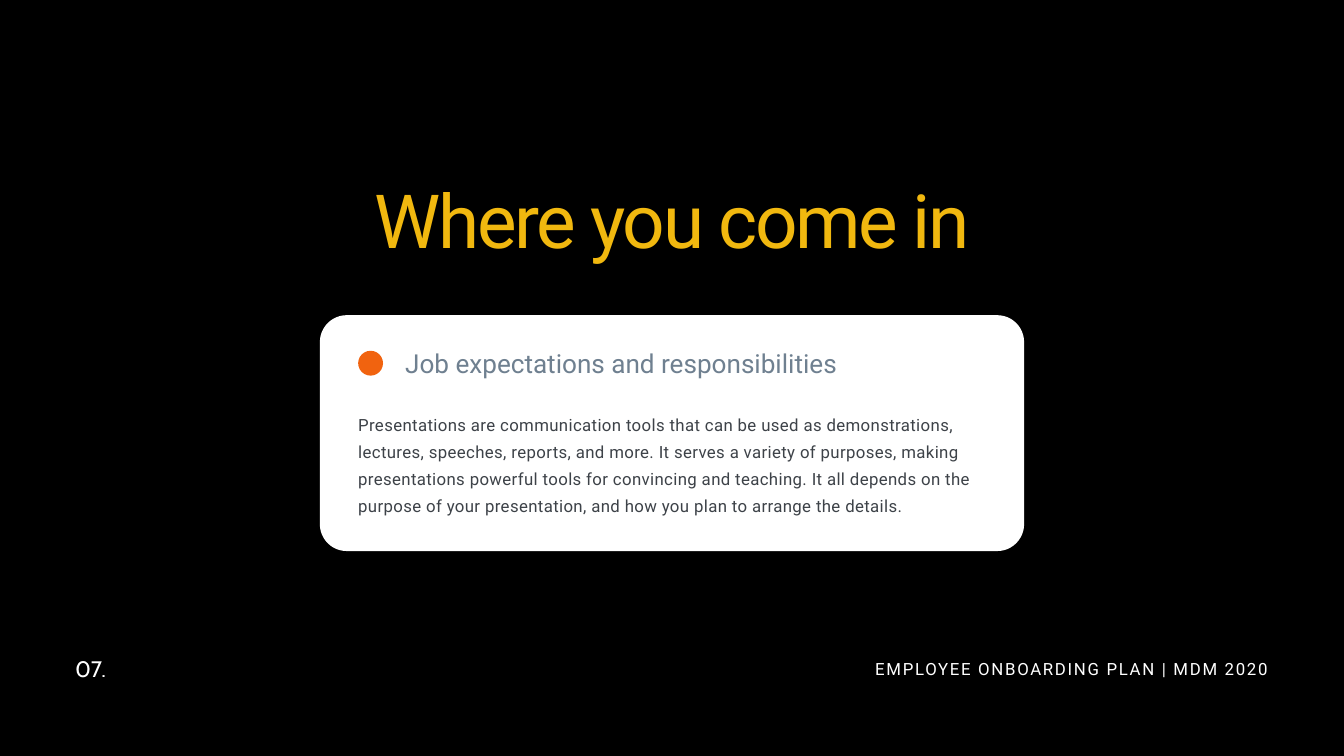
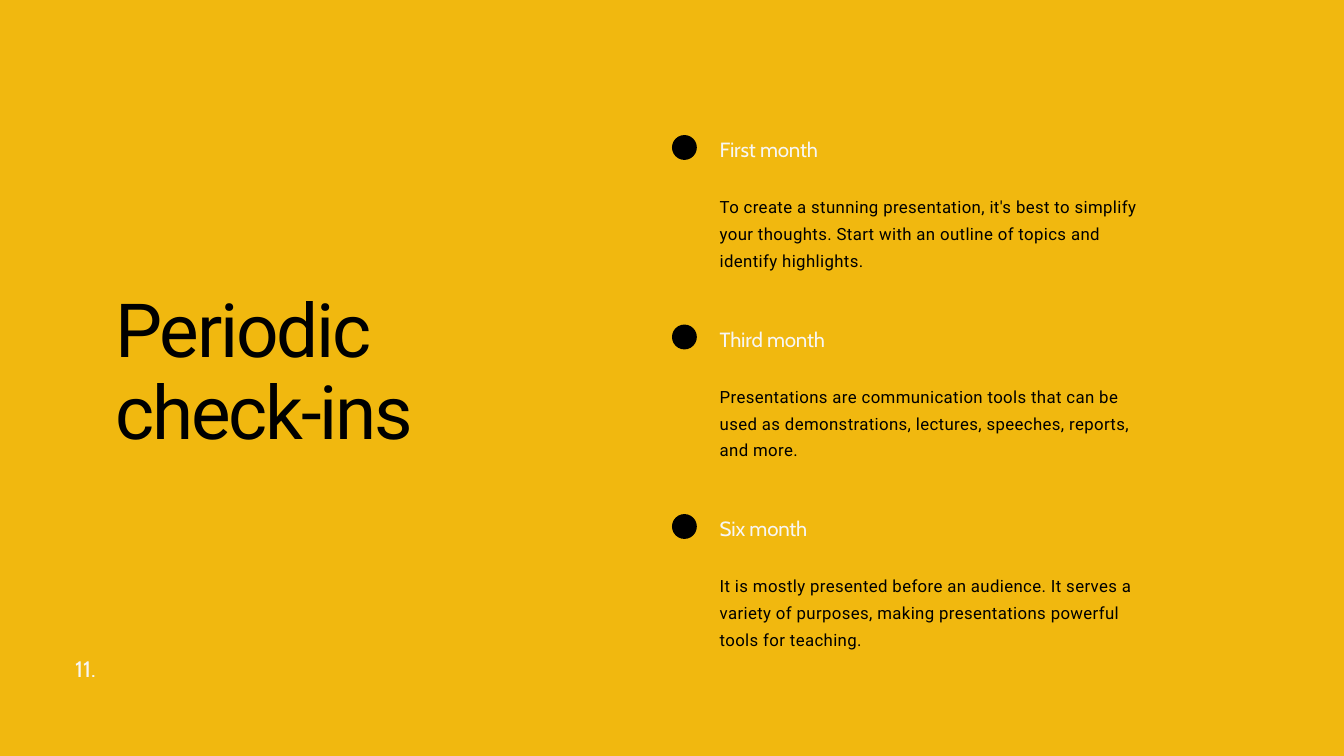
from pptx import Presentation
from pptx.dml.color import RGBColor
from pptx.enum.shapes import MSO_SHAPE as Shape
from pptx.enum.text import MSO_AUTO_SIZE as AutoSize, PP_ALIGN as Align
from pptx.util import Inches, Pt

COLORS = {
    "black": "000000", "white": "FFFFFF", "yellow": "F1B80F", "orange": "F1630F",
    "slate": "6F8090", "charcoal": "3D4248", "cream": "F7F6F4",
}
BODY = {"size": 18, "leading": 28.8, "tracking": 0.4}
MONTH = {"size": 22, "leading": 30.8, "tracking": -0.2, "font": "Cabin", "color": "cream"}
DOT_SIZE = 0.37
CHECK_IN_PITCH = 2.82
CHECK_INS = [
    ("First month", "To create a stunning presentation, it's best to simplify your thoughts. "
                    "Start with an outline of topics and identify highlights."),
    ("Third month", "Presentations are communication tools that can be used as "
                    "demonstrations, lectures, speeches, reports, and more."),
    ("Six month", "It is mostly presented before an audience. It serves a variety of "
                  "purposes, making presentations powerful tools for teaching."),
]


def color(name):
    return RGBColor.from_string(COLORS[name])


def add_text(shapes, text, left, top, width, height, *, size, leading,
             color_name="black", font="Roboto", tracking=0, align=Align.LEFT):
    box = shapes.add_textbox(Inches(left), Inches(top), Inches(width), Inches(height))
    frame = box.text_frame
    frame.word_wrap = True
    frame.auto_size = AutoSize.SHAPE_TO_FIT_TEXT
    frame.margin_left = frame.margin_top = frame.margin_right = frame.margin_bottom = 0
    para = frame.paragraphs[0]
    para.alignment = align
    para.line_spacing = Pt(leading)
    span = para.add_run()
    span.text = text
    span.font.name = font
    span.font.size = Pt(size)
    span.font.color.rgb = color(color_name)
    if tracking:
        span._r.get_or_add_rPr().set("spc", str(round(tracking * 100)))


def add_filled(shapes, kind, left, top, width, height, fill):
    shape = shapes.add_shape(kind, Inches(left), Inches(top), Inches(width), Inches(height))
    shape.shadow.inherit = False
    shape.fill.solid()
    shape.fill.fore_color.rgb = color(fill)
    shape.line.fill.background()
    return shape


def add_dot(shapes, left, top, fill):
    add_filled(shapes, Shape.OVAL, left, top, DOT_SIZE, DOT_SIZE, fill)


def add_page(deck, background):
    page = deck.slides.add_slide(deck.slide_layouts[6])
    page.background.fill.solid()
    page.background.fill.fore_color.rgb = color(background)
    return page


def add_title(page, text, left, top, width, height, **style):
    add_text(page.shapes, text, left, top, width, height,
             size=80, leading=88, tracking=-2.4, **style)


def add_page_number(page, text, color_name):
    add_text(page.shapes, text, 1.12, 9.68, 4.8, 0.44,
             size=24, leading=33.6, font="Cabin", color_name=color_name)


def add_card(page, heading, body, left, top, width, height):
    """Rounded white panel with a dotted heading above its body text."""
    panel = add_filled(page.shapes, Shape.ROUNDED_RECTANGLE, left, top, width, height, "white")
    panel.adjustments[0] = 0.4 / height
    content = page.shapes.add_group_shape().shapes
    inset = left + 0.57
    add_text(content, heading, inset + 0.7, top + 0.4, 7.64, 0.51,
             size=28, leading=39.2, color_name="slate")
    add_text(content, body, inset, top + 1.38, 9.35, 1.54, color_name="charcoal", **BODY)
    add_dot(content, inset, top + 0.53, "orange")


def add_check_in(page, month, body, left, top):
    content = page.shapes.add_group_shape().shapes
    text_left = left + 0.71
    style = {key: value for key, value in MONTH.items() if key != "color"}
    add_text(content, month, text_left, top, 6.25, 0.4, color_name=MONTH["color"], **style)
    add_text(content, body, text_left, top + 0.85, 6.25, 1.14, **BODY)
    add_dot(content, left, top + 0.03, "black")


def build_role_page(deck):
    page = add_page(deck, "black")
    add_title(page, "Where you come in", 3.14, 2.7, 13.72, 1.26,
              color_name="yellow", align=Align.CENTER)
    add_card(page, "Job expectations and responsibilities",
             "Presentations are communication tools that can be used as demonstrations, "
             "lectures, speeches, reports, and more. It serves a variety of purposes, making "
             "presentations powerful tools for convincing and teaching. It all depends on the "
             "purpose of your presentation, and how you plan to arrange the details.",
             4.76, 4.69, 10.48, 3.51)
    add_page_number(page, "07.", "white")
    add_text(page.shapes, "EMPLOYEE ONBOARDING PLAN | MDM 2020", 11.17, 9.75, 7.7, 0.34,
             size=18, leading=25.2, tracking=1.8, color_name="white", align=Align.RIGHT)


def build_check_in_page(deck):
    page = add_page(deck, "yellow")
    for index, (month, body) in enumerate(CHECK_INS):
        add_check_in(page, month, body, 10, 1.98 + index * CHECK_IN_PITCH)
    add_title(page, "Periodic check-ins", 1.72, 4.32, 6.37, 2.48)
    add_page_number(page, "11.", "cream")


def main():
    deck = Presentation()
    deck.slide_width, deck.slide_height = Inches(20), Inches(11.25)
    build_role_page(deck)
    build_check_in_page(deck)
    deck.save("out.pptx")


if __name__ == "__main__":
    main()
